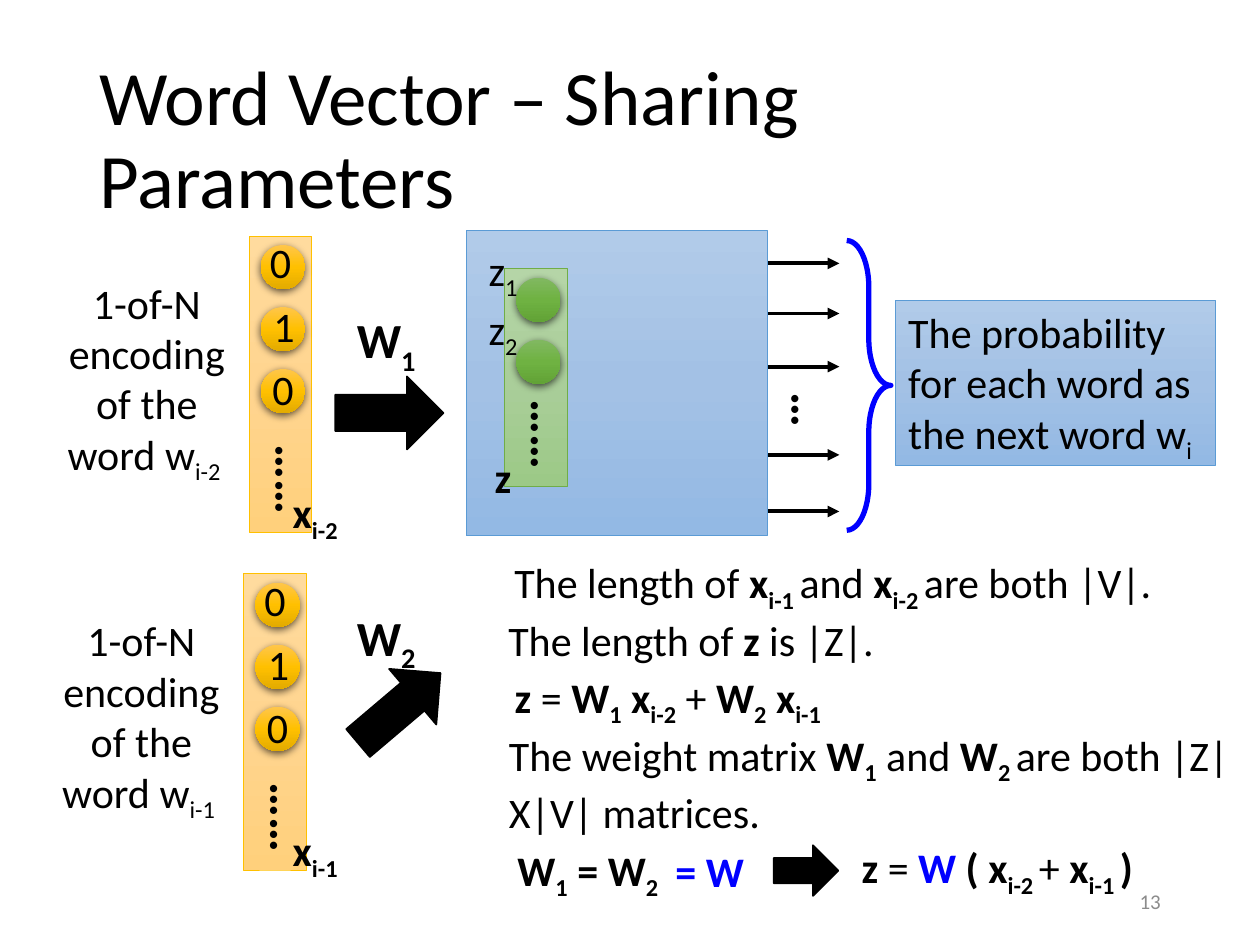
from copy import deepcopy
from dataclasses import dataclass

from lxml.etree import SubElement
from pptx import Presentation
from pptx.dml.color import RGBColor
from pptx.enum.shapes import MSO_CONNECTOR, MSO_SHAPE
from pptx.enum.text import MSO_ANCHOR, PP_ALIGN
from pptx.oxml.ns import qn
from pptx.util import Cm, Pt


@dataclass(frozen=True)
class Theme:
    font: str = "Calibri"
    black: str = "000000"
    accent: str = "0000FF"
    muted: str = "8C8C8C"
    title: int = 44
    symbol: int = 28
    body: int = 24
    number: int = 12
    blue_panel: tuple = ("B1CBE9", "A3C1E5", "93B9E4")
    blue_edge: str = "5B9BD5"
    orange: tuple = (("FFDB9E", "FFD590", "FFD07C"), "FFC000", ("FFC64B", "FFC000", "E3AB00"))
    green: tuple = (("B5D5A7", "AACE9A", "9CC987"), "70AD47", ("81B861", "6FB242", "62A336"))


def color(value):
    return RGBColor.from_string(value)


class SlideBuilder:
    def __init__(self, slide, theme):
        self.slide = slide
        self.theme = theme

    def fill_text(self, frame, paragraphs, size, align, ink=None, spacing=None):
        frame.word_wrap = True
        for index, runs in enumerate(paragraphs):
            paragraph = frame.paragraphs[0] if index == 0 else frame.add_paragraph()
            for name, value in {"alignment": align, "line_spacing": spacing}.items():
                setattr(paragraph, name, value)
            for text, flags in runs:
                run = paragraph.add_run()
                run.text = text
                formats = {"name": self.theme.font, "size": Pt(size), "bold": "b" in flags}
                for name, value in formats.items():
                    setattr(run.font, name, value)
                shade = self.theme.accent if "a" in flags else ink or self.theme.black
                run.font.color.rgb = color(shade)
                if "s" in flags:
                    run._r.get_or_add_rPr().set("baseline", "-25000")

    def text(self, box, *paragraphs, size=None, align=PP_ALIGN.LEFT, ink=None,
             spacing=None, anchor=MSO_ANCHOR.TOP, rotation=0):
        shape = self.slide.shapes.add_textbox(*map(Cm, box))
        shape.rotation = rotation
        shape.text_frame.vertical_anchor = anchor
        self.fill_text(shape.text_frame, paragraphs, size or self.theme.body,
                       align, ink, spacing)

    def shape(self, kind, box, fill=None, line=None, width=0.5, rotation=0):
        shape = self.slide.shapes.add_shape(kind, *map(Cm, box))
        shape.rotation = rotation
        shape.shadow.inherit = False
        if isinstance(fill, tuple):
            self.gradient(shape, fill)
        elif fill:
            shape.fill.solid()
            shape.fill.fore_color.rgb = color(fill)
        else:
            shape.fill.background()
        if line:
            shape.line.color.rgb = color(line)
            shape.line.width = Pt(width)
        else:
            shape.line.fill.background()
        return shape

    def gradient(self, shape, colors):
        shape.fill.gradient()
        shape.fill.gradient_angle = 270
        stops = shape._element.spPr.find(".//" + qn("a:gsLst"))
        stops.append(deepcopy(stops[0]))
        for index, (stop, value) in enumerate(zip(shape.fill.gradient_stops, colors)):
            stop.position = index / 2
            stop.color.rgb = color(value)

    def circle(self, left, top, fill):
        shape = self.shape(MSO_SHAPE.OVAL, (left, top, 0.89, 0.89), fill)
        effects = shape._element.spPr.find(qn("a:effectLst"))
        shadow = SubElement(effects, qn("a:outerShdw"), blurRad=str(Pt(4.5)),
                            dist=str(Pt(1.5)), dir="5400000", algn="ctr", rotWithShape="0")
        shade = SubElement(shadow, qn("a:srgbClr"), val=self.theme.black)
        SubElement(shade, qn("a:alpha"), val="63000")

    def dots(self, box, text):
        self.text(box, [(text, "b")], size=self.theme.symbol, rotation=90)

    def vector(self, left, top, height, palette, count):
        bar, edge, neuron = palette
        self.shape(MSO_SHAPE.RECTANGLE, (left, top, 1.27, height), bar, edge)
        for index in range(count):
            self.circle(left + 0.24, top + 0.18 + 1.25 * index, neuron)
        self.dots((left, top + height - 1.3, 2.36, 0.94), "……")

    def encoded_word(self, left, top, index):
        self.text((left - 4.23, top + 0.7, 4.34, 4.37), [("1-of-N encoding", "")],
                  [("of the word w", ""), (index, "s")], align=PP_ALIGN.CENTER)
        self.vector(left, top, 5.97, self.theme.orange, 3)
        for digit, across, down in (("0", 0.17, -0.11), ("1", 0.24, 1.18), ("0", 0.22, 2.45)):
            self.text((left + across, top + down, 1.09, 1.27), [(digit, "")])
        self.text((5.46, top + 4.93, 1.9, 1.27), [("x", "b"), (index, "bs")],
                  align=PP_ALIGN.CENTER)

    def arrow_line(self, left, right, top):
        points = map(Cm, (left, top, right, top))
        connector = self.slide.shapes.add_connector(MSO_CONNECTOR.STRAIGHT, *points)
        connector.line.color.rgb = color(self.theme.black)
        connector.line.width = Pt(2.25)
        SubElement(connector.line._get_or_add_ln(), qn("a:tailEnd"), type="triangle")
        SubElement(connector._element.spPr, qn("a:effectLst"))

    def block_arrow(self, box, rotation=0):
        black = self.theme.black
        self.shape(MSO_SHAPE.RIGHT_ARROW, box, black, black, 1, rotation)


def main():
    theme = Theme()
    presentation = Presentation()
    presentation.slide_width, presentation.slide_height = Cm(25.4), Cm(19.05)
    slide = presentation.slides.add_slide(presentation.slide_layouts[6])
    builder = SlideBuilder(slide, theme)

    builder.text((1.75, 1.02, 21.89, 3.68), [("Word Vector – Sharing Parameters", "")],
                 size=theme.title, spacing=0.9, anchor=MSO_ANCHOR.MIDDLE)

    brace = builder.shape(MSO_SHAPE.RIGHT_BRACE, (17.07, 4.85, 0.89, 5.84),
                          line=theme.accent, width=3)
    brace.adjustments[0] = 1.05
    for top in (5.31, 6.32, 7.39, 9.17, 10.31):
        builder.arrow_line(14.81, 16.92, top)
    builder.dots((15.62, 7.67, 1.45, 1.45), "…")

    builder.shape(MSO_SHAPE.RECTANGLE, (9.4, 4.65, 6.07, 6.15),
                  theme.blue_panel, theme.blue_edge)
    probability = builder.shape(MSO_SHAPE.RECTANGLE, (18.06, 6.05, 6.45, 3.33),
                                theme.blue_panel, theme.blue_edge)
    probability.text_frame.vertical_anchor = MSO_ANCHOR.TOP
    builder.fill_text(probability.text_frame,
                      [[("The probability for each word as the next word w", ""), ("i", "s")]],
                      theme.body, PP_ALIGN.LEFT)

    builder.encoded_word(5.02, 4.76, "i-2 ")
    builder.encoded_word(4.91, 11.57, "i-1 ")
    builder.vector(10.17, 5.42, 4.39, theme.green, 2)
    for index, top in (("1", 4.8), ("2", 5.99)):
        builder.text((9.6, top, 1.52, 1.27), [("z", ""), (index, "s")])

    builder.block_arrow((6.76, 7.59, 2.18, 1.47))
    builder.block_arrow((6.96, 13.54, 2.18, 1.47), 319.7)
    builder.block_arrow((15.6, 17.04, 1.3, 1.02))
    for index, top in (("1 ", 6.12), ("2 ", 12.12)):
        builder.text((6.9, top, 1.9, 1.45), [("W", "b"), (index, "bs")],
                     size=theme.symbol, align=PP_ALIGN.CENTER)

    builder.text((10.01, 14.58, 15.16, 2.31), [
        ("The weight matrix ", ""), ("W", "b"), ("1", "bs"), (" and ", ""),
        ("W", "b"), ("2 ", "bs"), ("are both |Z|X|V| matrices.", "")])
    statements = (
        ((9.19, 8.97, 1.9), [("z", "b")]),
        ((9.88, 11.1, 13.82), [
            ("The length of ", ""), ("x", "b"), ("i-1 ", "bs"), ("and", ""),
            (" x", "b"), ("i-2 ", "bs"), ("are both |V|.", "")]),
        ((9.83, 12.27, 8.2), [("The length of ", ""), ("z ", "b"), ("is |Z|.", "")]),
        ((9.42, 13.41, 8.2), [
            ("z ", "b"), ("= ", ""), ("W", "b"), ("1", "bs"), (" x", "b"), ("i-2", "bs"),
            (" + ", ""), ("W", "b"), ("2", "bs"), (" x", "b"), ("i-1 ", "bs")]),
        ((9.7, 16.89, 4.19), [
            (" ", "bs"), ("W", "b"), ("1", "bs"), (" = W", "b"), ("2", "bs")]),
        ((16.1, 16.84, 8.2), [
            ("z ", "b"), ("= ", ""), ("W ", "ab"), ("( x", "b"), ("i-2 ", "bs"),
            ("+ ", ""), ("x", "b"), ("i-1 ", "bs"), (") ", "b")]),
        ((13.03, 16.92, 2.44), [(" ", "abs"), ("= W", "ab")]),
    )
    for box, runs in statements:
        builder.text((*box, 1.27), runs, align=PP_ALIGN.CENTER)

    builder.text((17.93, 17.65, 5.72, 1.02), [("13", "")], size=theme.number,
                 align=PP_ALIGN.RIGHT, ink=theme.muted, anchor=MSO_ANCHOR.MIDDLE)
    presentation.save("out.pptx")


if __name__ == "__main__":
    main()
